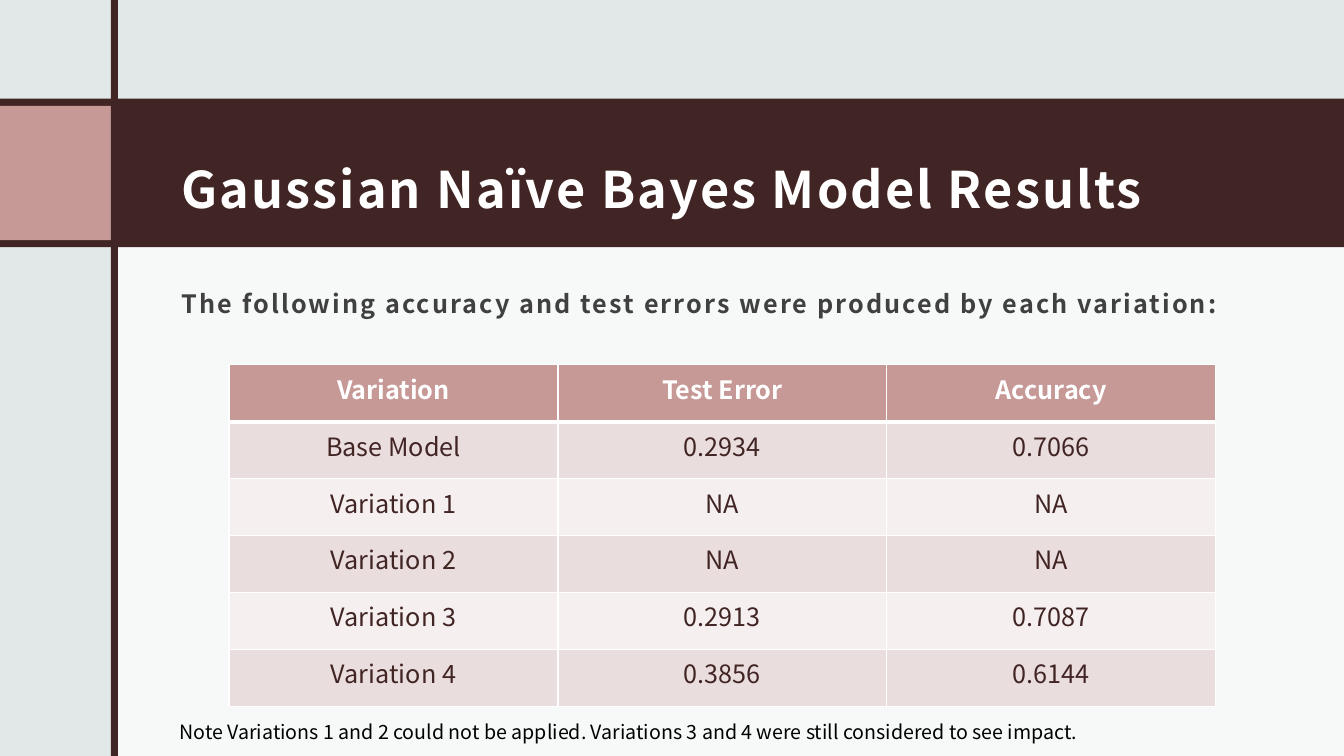
import pptx
import pptx.dml.color
import pptx.enum.shapes
import pptx.enum.text
import pptx.oxml.ns
import pptx.util
from lxml import etree

Pt = pptx.util.Pt
ALIGN = pptx.enum.text.PP_ALIGN
ANCHOR = pptx.enum.text.MSO_ANCHOR
qn = pptx.oxml.ns.qn

WIDTH, HEIGHT = 960, 540
BROWN, ROSE, MIST, WHITE = "412524", "C69896", "E2E8E8", "FFFFFF"
BAND_FILLS = ["F5EFEF", "EADDDD"]


def color(hex_string):
    return pptx.dml.color.RGBColor.from_string(hex_string)


def set_values(target, values):
    for name, value in values.items():
        setattr(target, name, value)


class SlideBuilder:
    font_name = "Noto Sans CJK JP"

    def __init__(self, slide):
        self.slide = slide

    def background(self, fill):
        self.slide.background.fill.solid()
        self.slide.background.fill.fore_color.rgb = color(fill)

    def rectangle(self, left, top, width, height, fill, opacity=100):
        shape = self.slide.shapes.add_shape(
            pptx.enum.shapes.MSO_SHAPE.RECTANGLE,
            Pt(left), Pt(top), Pt(width), Pt(height))
        shape.shadow.inherit = False
        shape.fill.solid()
        shape.fill.fore_color.rgb = color(fill)
        shape.line.fill.background()
        if opacity < 100:
            rgb = shape.element.spPr.find(qn("a:solidFill"))[0]
            etree.SubElement(rgb, qn("a:alpha"), val=str(opacity * 1000))

    def add_text(self, frame, text, size, fill, bold=False, spacing=0, **layout):
        paragraph = frame.paragraphs[0]
        set_values(paragraph, {"alignment": ALIGN.LEFT, "space_before": Pt(0), **layout})
        run = paragraph.add_run()
        run.text = text
        set_values(run.font, {"name": self.font_name, "size": Pt(size), "bold": bold})
        run.font.color.rgb = color(fill)
        properties = run._r.get_or_add_rPr()
        if spacing:
            properties.set("spc", str(int(spacing * 100)))
        return paragraph

    def placeholder(self, index, left, top, width, height, anchor, text, **style):
        shape = self.slide.placeholders[index]
        set_values(shape, {"left": Pt(left), "top": Pt(top),
                           "width": Pt(width), "height": Pt(height)})
        set_values(shape.text_frame, {
            "margin_left": Pt(8.64), "margin_right": Pt(8.64),
            "margin_top": Pt(8.64), "margin_bottom": Pt(7.2),
            "vertical_anchor": anchor, "word_wrap": True,
            "auto_size": pptx.enum.text.MSO_AUTO_SIZE.NONE})
        paragraph = self.add_text(shape.text_frame, text, **style)
        # No bullet or indent, and in front of the bands
        properties = paragraph._p.get_or_add_pPr()
        properties.set("marL", "0")
        properties.set("indent", "0")
        etree.SubElement(properties, qn("a:buNone"))
        shape.element.getparent().append(shape.element)

    def text_box(self, left, top, width, height, text, **style):
        shape = self.slide.shapes.add_textbox(Pt(left), Pt(top), Pt(width), Pt(height))
        shape.text_frame.word_wrap = True
        self.add_text(shape.text_frame, text, **style)

    def borders(self, cell, widths):
        properties = cell._tc.get_or_add_tcPr()
        for position, (side, width) in enumerate(widths.items()):
            line = etree.Element(qn("a:ln" + side), w=str(int(Pt(width))))
            fill = etree.SubElement(line, qn("a:solidFill"))
            etree.SubElement(fill, qn("a:srgbClr"), val=WHITE)
            properties.insert(position, line)

    def table(self, left, top, width, height, rows):
        table = self.slide.shapes.add_table(
            len(rows), len(rows[0]), Pt(left), Pt(top), Pt(width), Pt(height)).table
        for row_index, values in enumerate(rows):
            header = row_index == 0
            for column_index, value in enumerate(values):
                cell = table.cell(row_index, column_index)
                cell.fill.solid()
                cell.fill.fore_color.rgb = color(ROSE if header else BAND_FILLS[row_index % 2])
                self.add_text(cell.text_frame, value, 18, WHITE if header else BROWN,
                              bold=header, alignment=ALIGN.CENTER)
                self.borders(cell, {"L": 1, "R": 1, "T": 3 if row_index == 1 else 1,
                                    "B": 3 if header else 1})


presentation = pptx.Presentation()
set_values(presentation, {"slide_width": Pt(WIDTH), "slide_height": Pt(HEIGHT)})
builder = SlideBuilder(presentation.slides.add_slide(presentation.slide_layouts[1]))

# Background, title band and side bar
builder.background(MIST)
builder.rectangle(82, 168, WIDTH - 82, HEIGHT - 168, WHITE, opacity=75)
builder.rectangle(0, 70.5, WIDTH, 106, BROWN)
builder.rectangle(0, 75.6, 79.2, 96, ROSE)
builder.rectangle(79.3, 0, 5, HEIGHT, BROWN)

# Title and introduction
builder.placeholder(0, 121, 82, 788.4, 81.4, ANCHOR.MIDDLE,
                    "Gaussian Naïve Bayes Model Results",
                    size=36, fill=WHITE, bold=True, spacing=1.5, line_spacing=1.5)
builder.placeholder(1, 121, 188.6, 782.6, 85.7, ANCHOR.TOP,
                    "The following accuracy and test errors were produced by each variation:",
                    size=18, fill="404040", bold=True, spacing=1.5,
                    line_spacing=1.4, space_before=Pt(9.3))

# Results table and note
builder.table(163.6, 260.6, 704.88, 244.08, [
    ["Variation", "Test Error", "Accuracy"],
    ["Base Model", "0.2934", "0.7066"],
    ["Variation 1", "NA", "NA"],
    ["Variation 2", "NA", "NA"],
    ["Variation 3", "0.2913", "0.7087"],
    ["Variation 4", "0.3856", "0.6144"],
])
builder.text_box(121, 510.5, 807.8, 24.5,
                 "Note Variations 1 and 2 could not be applied. "
                 "Variations 3 and 4 were still considered to see impact.",
                 size=14, fill="000000")

presentation.save("out.pptx")
